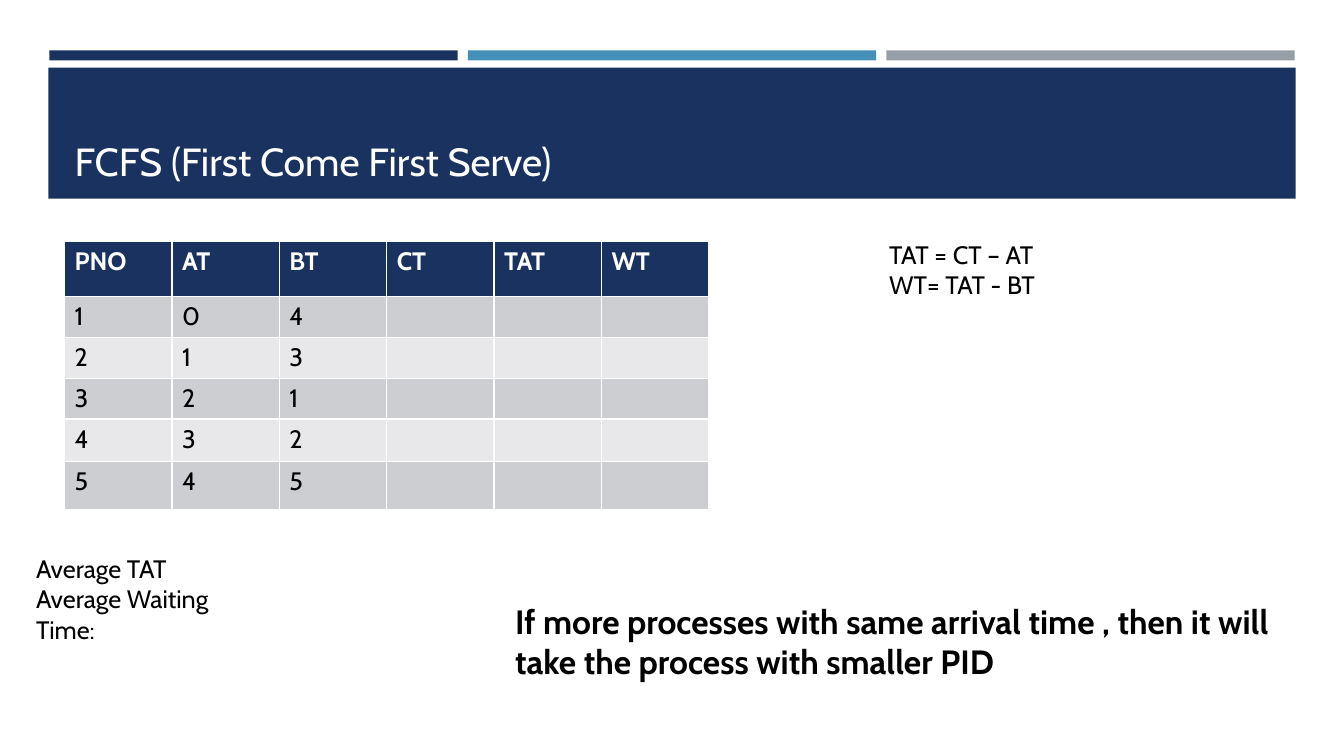
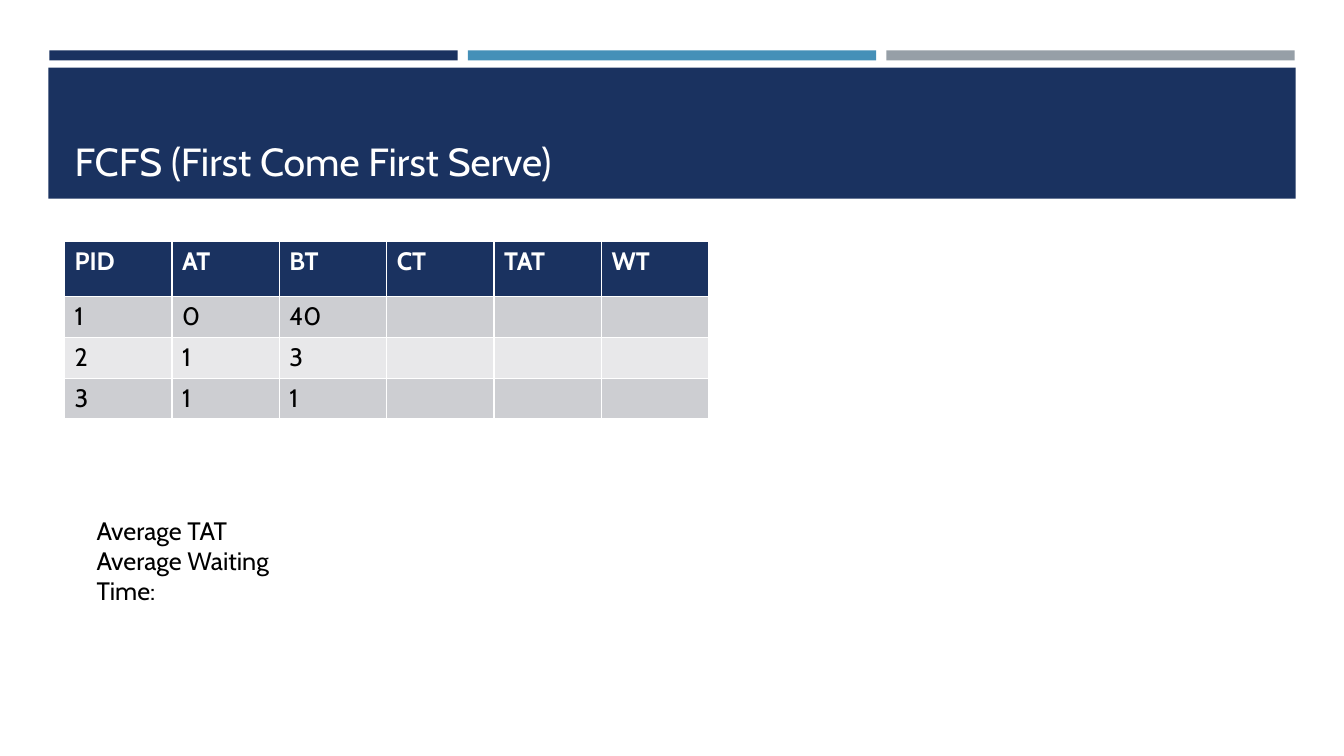
from pptx import Presentation
from pptx.dml.color import RGBColor
from pptx.enum import shapes, text
from pptx.util import Inches, Pt

NAVY, BLUE, GREY = "1A3260", "4590B8", "969FA7"
WHITE, BLACK = "FFFFFF", "000000"
ROW_FILLS = ("CDCED2", "E8E8EA")
FONT = "Cabin"
TITLE = "FCFS (First Come First Serve)"
AVERAGES = ("Average TAT", "Average Waiting Time:")
COLUMN_WIDTH = 6.39 / 6
ROW_HEIGHTS = (0.55, 0.4, 0.4, 0.4, 0.42, 0.48)


def color(value):
    """Turn a hex string into a colour."""
    return RGBColor.from_string(value)


def lengths(box):
    """Turn left, top, width and height in inches into lengths."""
    return [Inches(value) for value in box]


def write(frame, lines, size, ink, bold=False):
    """Fill a text frame with one paragraph per line."""
    formats = {"name": FONT, "size": Pt(size), "bold": bold}
    for index, line in enumerate(lines):
        para = frame.add_paragraph() if index else frame.paragraphs[0]
        para.alignment = text.PP_ALIGN.LEFT
        span = para.add_run()
        span.text = line
        for name, value in formats.items():
            setattr(span.font, name, value)
        span.font.color.rgb = color(ink)


def add_bands(page, layout):
    """Draw the title band and its three bars, and move them to the layout."""
    bands = [((0.48, 0.67, 12.37, 1.3), NAVY)]
    bands += [((0.49 + index * 4.15, 0.5, 4.05, 0.1), fill)
              for index, fill in enumerate((NAVY, BLUE, GREY))]
    for number, (box, fill) in enumerate(bands, 20):
        band = page.shapes.add_shape(shapes.MSO_SHAPE.RECTANGLE, *lengths(box))
        band.shadow.inherit = False
        band.fill.solid()
        band.fill.fore_color.rgb = color(fill)
        band.line.fill.background()
        band.element.nvSpPr.cNvPr.set("id", str(number))
        layout.shapes.element.insert(2, band.element)


def add_title(page, box):
    """Place and format the title placeholder."""
    title = page.shapes.title
    title.left, title.top, title.width, title.height = lengths(box)
    title.text_frame.vertical_anchor = text.MSO_ANCHOR.BOTTOM
    write(title.text_frame, [TITLE], 28, WHITE)


def add_schedule(page, left, top, key, processes):
    """Add the process table, leaving the computed columns empty."""
    header = (key, "AT", "BT", "CT", "TAT", "WT")
    rows = [header, *processes]
    heights = ROW_HEIGHTS[:len(rows)]
    box = (left, top, COLUMN_WIDTH * len(header), sum(heights))
    table = page.shapes.add_table(len(rows), len(header), *lengths(box)).table
    for column in table.columns:
        column.width = Inches(COLUMN_WIDTH)
    for index, (values, height) in enumerate(zip(rows, heights)):
        table.rows[index].height = Inches(height)
        is_header = index == 0
        fill = NAVY if is_header else ROW_FILLS[(index - 1) % 2]
        for cell in table.rows[index].cells:
            cell.fill.solid()
            cell.fill.fore_color.rgb = color(fill)
        for cell, value in zip(table.rows[index].cells, values):
            write(cell.text_frame, [str(value)], 18,
                  WHITE if is_header else BLACK, is_header)


def add_note(page, box, lines, size=18, bold=False):
    """Add a wrapped text box."""
    note = page.shapes.add_textbox(*lengths(box))
    note.text_frame.word_wrap = True
    write(note.text_frame, lines, size, BLACK, bold)


def add_page(deck, layout, key, processes, averages_at):
    """Add a slide with the title, the process table and the averages."""
    page = deck.slides.add_slide(layout)
    add_title(page, (0.64, 0.77, 12.06, 1.11))
    add_schedule(page, 0.64, 2.39, key, processes)
    add_note(page, (*averages_at, 2.51, 0.71), AVERAGES)
    return page


def main():
    """Build and save the deck."""
    deck = Presentation()
    deck.slide_width, deck.slide_height = Inches(13.33), Inches(7.5)
    layout = deck.slide_layouts[5]

    page = add_page(deck, layout, "PNO",
                    [(1, 0, 4), (2, 1, 3), (3, 2, 1), (4, 3, 2), (5, 4, 5)],
                    (0.26, 5.44))
    add_bands(page, layout)
    add_note(page, (8.72, 2.32, 1.81, 0.71), ["TAT = CT – AT", "WT= TAT - BT"])
    add_note(page, (5.01, 5.91, 8.02, 0.91),
             ["If more processes with same arrival time , then it will take "
              "the process with smaller PID"], 24, True)

    add_page(deck, layout, "PID", [(1, 0, 40), (2, 1, 3), (3, 1, 1)],
             (0.86, 5.06))
    deck.save("out.pptx")


if __name__ == "__main__":
    main()
